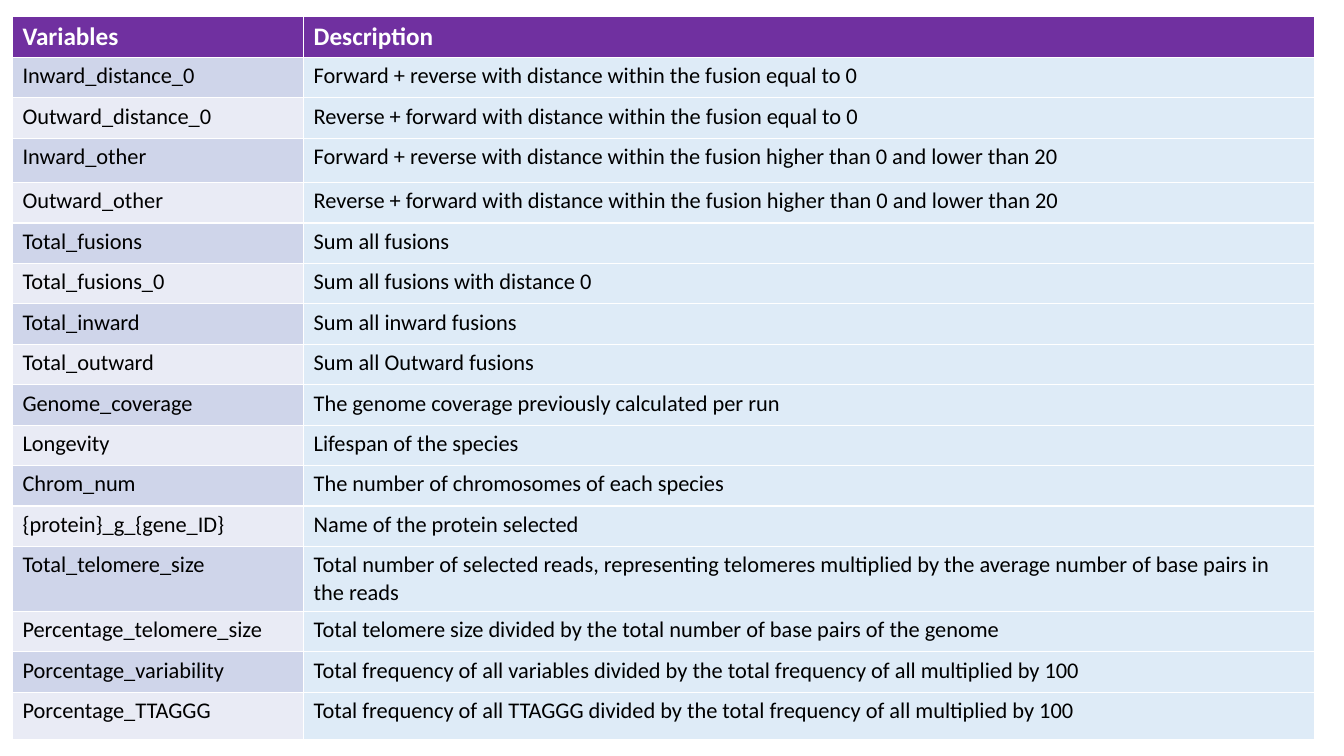
from pptx import Presentation
from pptx.dml.color import RGBColor as RGB
from pptx.util import Pt

ROWS = [
    ("Variables", "Description"),
    ("Inward_distance_0", "Forward + reverse with distance within the fusion equal to 0"),
    ("Outward_distance_0", "Reverse + forward with distance within the fusion equal to 0"),
    ("Inward_other", "Forward + reverse with distance within the fusion higher than 0 and lower than 20"),
    ("Outward_other", "Reverse + forward with distance within the fusion higher than 0 and lower than 20"),
    ("Total_fusions", "Sum all fusions"),
    ("Total_fusions_0", "Sum all fusions with distance 0"),
    ("Total_inward", "Sum all inward fusions"),
    ("Total_outward", "Sum all Outward fusions"),
    ("Genome_coverage", "The genome coverage previously calculated per run"),
    ("Longevity", "Lifespan of the species"),
    ("Chrom_num", "The number of chromosomes of each species"),
    ("{protein}_g_{gene_ID}", "Name of the protein selected"),
    ("Total_telomere_size", "Total number of selected reads, representing telomeres multiplied by "
                            "the average number of base pairs in the reads"),
    ("Percentage_telomere_size", "Total telomere size divided by the total number of base pairs of the genome"),
    ("Porcentage_variability", "Total frequency of all variables divided by the total frequency of all multiplied by 100"),
    ("Porcentage_TTAGGG", "Total frequency of all TTAGGG divided by the total frequency of all multiplied by 100"),
]
ROW_HEIGHT = 28.9
TALL_ROWS = {3: 31.7, 13: 46.2, 16: 33.8}
COL_WIDTHS = (208, 722)


def color(hex_string):
    return RGB.from_string(hex_string)


prs = Presentation()
prs.slide_width, prs.slide_height = Pt(960), Pt(540)
s = prs.slides.add_slide(prs.slide_layouts[6])

frame = s.shapes.add_table(len(ROWS), 2, Pt(8.9), Pt(11.7), Pt(sum(COL_WIDTHS)), Pt(516.3))
table = frame.table
for column, width in zip(table.columns, COL_WIDTHS):
    column.width = Pt(width)

for i, texts in enumerate(ROWS):
    table.rows[i].height = Pt(TALL_ROWS.get(i, ROW_HEIGHT))
    header = i == 0
    if header:
        fills = ("7030A0", "7030A0")
    else:
        fills = ("CFD5EA" if i % 2 else "E9EBF5", "DEEBF7")
    for j, text in enumerate(texts):
        cell = table.cell(i, j)
        cell.fill.solid()
        cell.fill.fore_color.rgb = color(fills[j])
        cell.text = text
        font = cell.text_frame.paragraphs[0].font
        font.name = "Calibri"
        font.size = Pt(18 if header else 16)
        font.bold = header
        font.color.rgb = color("FFFFFF" if header else "000000")

prs.save("out.pptx")
